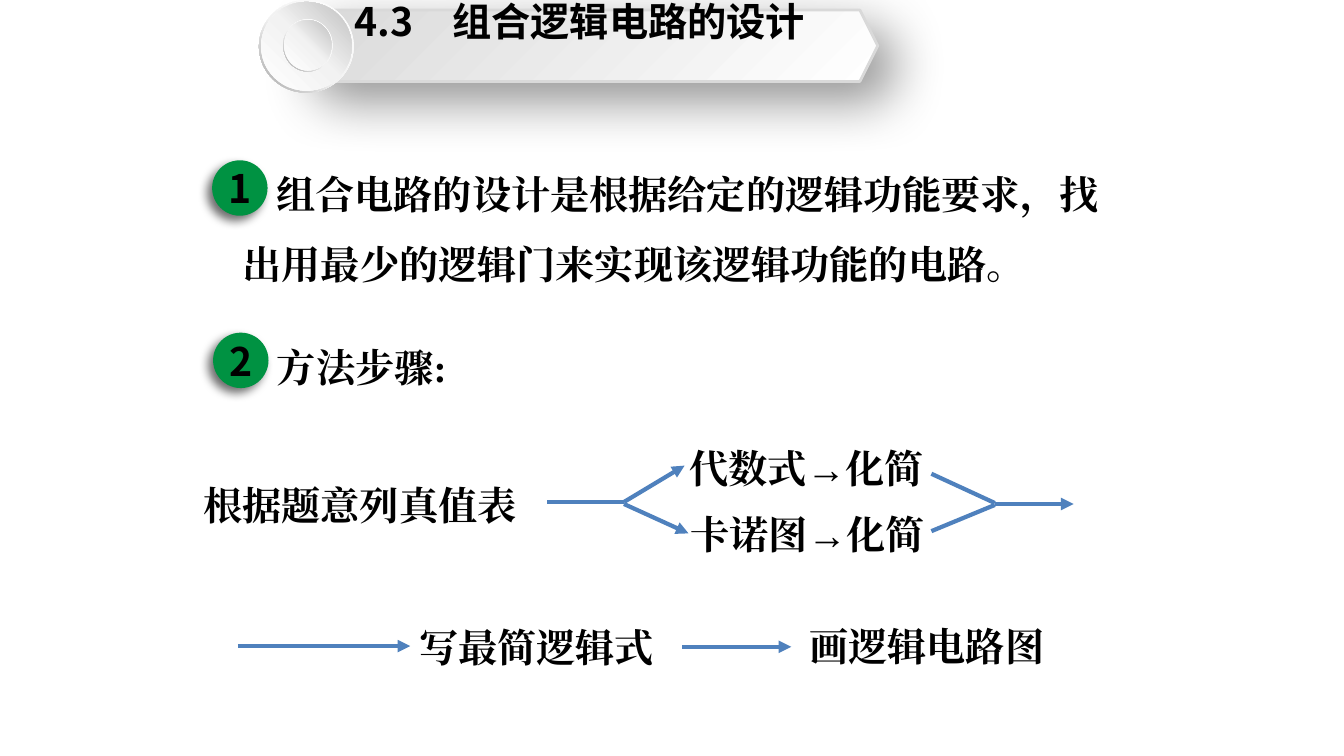
from lxml import etree
from pptx import Presentation
from pptx.dml.color import RGBColor
from pptx.enum.shapes import MSO_CONNECTOR, MSO_SHAPE
from pptx.enum.text import MSO_ANCHOR, PP_ALIGN
from pptx.oxml.ns import qn
from pptx.util import Pt


def color(hex_text):
    return RGBColor.from_string(hex_text)


def write(shape, text, font, align=PP_ALIGN.LEFT):
    frame = shape.text_frame
    frame.text = text
    frame.vertical_anchor = MSO_ANCHOR.MIDDLE
    para = frame.paragraphs[0]
    para.alignment = align
    span = para.runs[0]
    span.font.name = font
    span.font.size = Pt(28)
    span.font.bold = True
    span.font.color.rgb = color("000000")
    east_asian = etree.SubElement(span.font._element, qn("a:ea"))
    east_asian.set("typeface", font)
    return para


SANS = "Noto Sans CJK SC"
SERIF = "Times New Roman"

deck = Presentation()
deck.slide_width, deck.slide_height = Pt(960), Pt(540)
page = deck.slides.add_slide(deck.slide_layouts[6])

rim = [(0, "FFFFFF"), (55, "F2F2F2"), (100, "A6A6A6")]
face = [(0, "FFFFFF"), (51, "F2F2F2"), (100, "BFBFBF")]
banner_parts = [
    (MSO_SHAPE.HEXAGON, 208, 7.2, 419, 51, 225, [(0, "FFFFFF"), (100, "D9D9D9")]),
    (MSO_SHAPE.DONUT, 185, 0, 67.7, 66.2, 135, rim),
    (MSO_SHAPE.OVAL, 186.5, 1.4, 64.8, 63.4, 315, face),
    (MSO_SHAPE.DONUT, 202.3, 13.7, 35.3, 37.4, 135, rim),
    (MSO_SHAPE.OVAL, 203, 14.4, 33.8, 36, 315, face),
]
shadowed = []
for kind, left, top, width, height, angle, stops in banner_parts:
    part = page.shapes.add_shape(kind, Pt(left), Pt(top), Pt(width), Pt(height))
    part.shadow.inherit = False
    part.fill.gradient()
    part.fill.gradient_angle = 360 - angle
    stop_list = part._element.spPr.find(".//" + qn("a:gsLst"))
    for old_stop in list(stop_list):
        stop_list.remove(old_stop)
    for percent, shade in stops:
        stop = etree.SubElement(stop_list, qn("a:gs"), pos=str(percent * 1000))
        etree.SubElement(stop, qn("a:srgbClr"), val=shade)
    part.line.fill.background()
    if kind == MSO_SHAPE.DONUT:
        part.adjustments[0] = 0.05
    if kind == MSO_SHAPE.HEXAGON:
        part.line.color.rgb = color("D9D9D9")
        part.line.width = Pt(2)
        write(part, "4.3　组合逻辑电路的设计", SANS, PP_ALIGN.CENTER)
        frame = part.text_frame
        frame.word_wrap = False
        frame.margin_left = frame.margin_top = 0
        frame.margin_right, frame.margin_bottom = Pt(7), Pt(36)
        shadowed.append((part, 42, 38, 19, 45))

labels = [
    ("根据题意列真值表", 138.2, 340, 288),
    ("代数式→化简", 485.3, 314, 209),
    ("卡诺图→化简", 486, 360.7, 221),
    ("画逻辑电路图", 571, 440.6, 209),
    ("写最简逻辑式", 279.4, 441.5, 208),
    ("方法步骤:", 190.8, 241.2, 164),
    ("组合电路的设计是根据给定的逻辑功能要求，找出用最少的逻辑门来实现该逻辑功能的电路。",
     166.3, 103.7, 642),
]
boxes = {}
for text, left, top, width in labels:
    long_text = len(text) > 20
    box = page.shapes.add_textbox(Pt(left), Pt(top), Pt(width), Pt(103 if long_text else 41))
    box.text_frame.word_wrap = True
    centred = text == "写最简逻辑式"
    para = write(box, text, SERIF, PP_ALIGN.CENTER if centred else PP_ALIGN.LEFT)
    if long_text:
        para.line_spacing = 1.5
        para._p.get_or_add_pPr().set("indent", str(Pt(24)))
    boxes[text] = box

arrows = [
    (391, 358.6, 445.7, 358.6, False),
    (445.7, 358.6, 489, 332.6, True),
    (445.7, 360, 491.8, 381, True),
    (710.6, 360, 766.8, 360, True),
    (710.6, 359.3, 665.3, 338.4, False),
    (710.6, 360.7, 665.3, 379.4, False),
    (170, 461.5, 293, 461.5, True),
    (487.4, 462, 565.2, 462, True),
]
for start_x, start_y, end_x, end_y, has_head in arrows:
    arrow = page.shapes.add_connector(
        MSO_CONNECTOR.STRAIGHT, Pt(start_x), Pt(start_y), Pt(end_x), Pt(end_y))
    arrow.line.color.rgb = color("4F81BD")
    arrow.line.width = Pt(3)
    if has_head:
        etree.SubElement(arrow.line._get_or_add_ln(), qn("a:tailEnd"), type="triangle")
    etree.SubElement(arrow._element.spPr, qn("a:effectLst"))
arrow.begin_connect(boxes["写最简逻辑式"], 3)

for number, left, top in [("1", 151.5, 114.5), ("2", 152.2, 237.6)]:
    badge = page.shapes.add_shape(MSO_SHAPE.OVAL, Pt(left), Pt(top), Pt(39.6), Pt(39.6))
    badge.shadow.inherit = False
    badge.fill.solid()
    badge.fill.fore_color.rgb = color("009242")
    badge.line.fill.background()
    write(badge, number, SANS, PP_ALIGN.CENTER)
    badge.text_frame.margin_left = badge.text_frame.margin_right = 0
    badge.text_frame.margin_top = badge.text_frame.margin_bottom = 0
    shadowed.append((badge, 57, 7, 5, 135))

for shape, opacity, blur, distance, direction in shadowed:
    effects = shape._element.spPr.find(qn("a:effectLst"))
    shadow = etree.SubElement(
        effects, qn("a:outerShdw"), blurRad=str(Pt(blur)), dist=str(Pt(distance)),
        dir=str(direction * 60000), algn="ctr", rotWithShape="0")
    tint = etree.SubElement(shadow, qn("a:srgbClr"), val="000000")
    etree.SubElement(tint, qn("a:alpha"), val=str(opacity * 1000))

deck.save("out.pptx")
